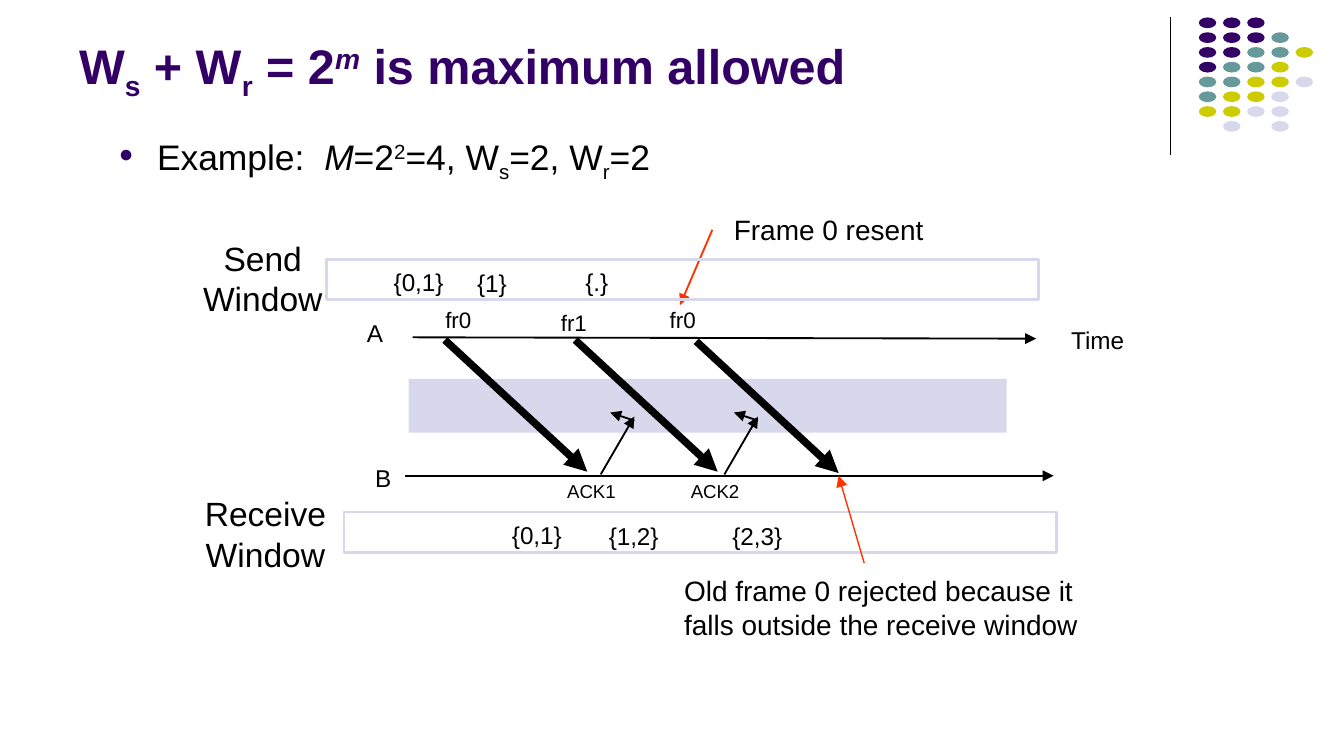
from lxml.etree import SubElement
from pptx import Presentation
from pptx.dml.color import RGBColor
from pptx.enum.shapes import MSO_CONNECTOR, MSO_SHAPE
from pptx.enum.text import MSO_ANCHOR, PP_ALIGN
from pptx.oxml.ns import qn
from pptx.util import Inches, Pt

INK = {"black": "000000", "purple": "330066", "teal": "669999",
       "lime": "CCCC00", "pale": "D8D8EC", "red": "FF3300"}
DOTS = ["PPP", "PPPT", "PPTTL", "PTTL", "TTLLV", "TLLV", "LLVV", " V V"]
HUES = {"P": "purple", "T": "teal", "L": "lime", "V": "pale"}

TITLE = [("W", ""), ("s", "sub"), (" + W", ""), ("r", "sub"), (" = 2", ""),
         ("m", "sup italic"), (" is maximum allowed", "")]
EXAMPLE = [("Example:  ", ""), ("M", "italic"), ("=2", ""), ("2", "sup"),
           ("=4, W", ""), ("s", "sub"), ("=2, W", ""), ("r", "sub"), ("=2", "")]

STYLES = {
    "node": (13, 0.09, 0.05, False, False),
    "frame": (12, 0.09, 0.05, True, False),
    "ack": (10, 0.06, 0.03, False, True),
    "note": (15, 0.07, 0.04, False, False),
    "remark": (15, 0.07, 0.04, False, True),
    "set": (13, 0.1, 0.05, True, False),
    "window": (18, 0.1, 0.05, True, True),
}
LABELS = [
    ("node", " A", 2.6, 2.32, 0.35, 0.31),
    ("node", " B", 2.65, 3.4, 0.35, 0.31),
    ("node", "Time", 7.88, 2.37, 0.58, 0.31),
    ("frame", "fr0", 3.22, 2.23, 0.38, 0.29),
    ("frame", "fr1", 4.08, 2.25, 0.38, 0.29),
    ("frame", "fr0", 4.89, 2.23, 0.38, 0.29),
    ("ack", "ACK1", 4.16, 3.54, 0.52, 0.23),
    ("ack", "ACK2", 5.08, 3.54, 0.52, 0.23),
    ("note", "Frame 0 resent", 5.39, 1.54, 1.56, 0.32),
    ("set", "{0,1}", 2.83, 1.94, 0.57, 0.32),
    ("set", "{1}", 3.45, 1.95, 0.42, 0.32),
    ("set", "{.}", 4.25, 1.94, 0.38, 0.32),
    ("window", "Send Window", 1.4, 1.72, 1.11, 0.7),
    ("set", "{0,1}", 3.71, 3.82, 0.57, 0.32),
    ("set", "{1,2}", 4.43, 3.83, 0.57, 0.32),
    ("set", "{2,3}", 5.35, 3.83, 0.57, 0.32),
    ("window", "Receive Window", 1.4, 3.62, 1.15, 0.7),
    ("remark", "Old frame 0 rejected because it falls outside the receive window",
     5.02, 4.23, 3.18, 0.57),
]
WINDOWS = [(2.43, 1.93), (2.56, 3.81)]
SENDS = [(3.31, 2.53), (4.28, 2.53), (5.18, 2.54)]
ACKS = [4.47, 5.39]

deck = Presentation()
deck.slide_width = Inches(10)
deck.slide_height = deck.slide_width * 9 // 16
slide = deck.slides.add_slide(deck.slide_layouts[6])


def color(name):
    return RGBColor.from_string(INK[name])


def add_line(x1, y1, x2, y2, width=1, ink="black", arrow=True):
    line = slide.shapes.add_connector(
        MSO_CONNECTOR.STRAIGHT, Inches(x1), Inches(y1), Inches(x2), Inches(y2))
    line.line.color.rgb = color(ink)
    line.line.width = Pt(width)
    if arrow:
        SubElement(line.line._get_or_add_ln(), qn("a:tailEnd"), type="triangle")
    SubElement(line._element.spPr, qn("a:effectLst"))


def add_form(kind, x, y, w, h, fill=None, edge=None):
    form = slide.shapes.add_shape(kind, Inches(x), Inches(y), Inches(w), Inches(h))
    form.shadow.inherit = False
    if fill:
        form.fill.solid()
        form.fill.fore_color.rgb = color(fill)
    else:
        form.fill.background()
    if edge:
        form.line.color.rgb = color(edge)
        form.line.width = Pt(1.5)
    else:
        form.line.fill.background()


def add_text(runs, x, y, w, h, size, dx=0.1, dy=0.05, wrap=True, ink="black"):
    box = slide.shapes.add_textbox(Inches(x), Inches(y), Inches(w), Inches(h))
    frame = box.text_frame
    frame.word_wrap = wrap
    frame.margin_left = frame.margin_right = Inches(dx)
    frame.margin_top = frame.margin_bottom = Inches(dy)
    para = frame.paragraphs[0]
    para.font.name, para.font.size = "Arial", Pt(size)
    para.font.color.rgb = color(ink)
    for words, look in runs:
        run = para.add_run()
        run.text = words
        if "italic" in look:
            run.font.italic = True
        if "su" in look:
            shift = "-25000" if "sub" in look else "30000"
            run.font._element.set("baseline", shift)
    return frame, para


add_line(8.71, 0.13, 8.71, 1.15, 0.75, arrow=False)
for row, marks in enumerate(DOTS):
    for col, mark in enumerate(marks):
        if mark in HUES:
            add_form(MSO_SHAPE.OVAL, 8.92 + col * 0.18, 0.13 + row * 0.11,
                     0.13, 0.08, HUES[mark])

frame, para = add_text(TITLE, 0.49, 0.2, 8.25, 0.61, 26, ink="purple")
frame.vertical_anchor = MSO_ANCHOR.BOTTOM
para.font.bold = True

frame, para = add_text(EXAMPLE, 0.79, 0.96, 6.75, 0.44, 19)
para.line_spacing, para.space_before = 0.9, Pt(4.8)
props = para._p.get_or_add_pPr()
props.set("marL", str(Inches(0.28)))
props.set("indent", str(-Inches(0.28)))
tags = ("buClr", "buSzPct", "buFont", "buChar")
tint, scale, face, mark = [SubElement(props, qn("a:" + tag)) for tag in tags]
SubElement(tint, qn("a:srgbClr"), val=INK["purple"])
scale.set("val", "110000")
face.set("typeface", "Arial")
mark.set("char", "•")
props.append(props.find(qn("a:defRPr")))

add_form(MSO_SHAPE.RECTANGLE, 3.04, 2.82, 4.45, 0.4, "pale")
add_line(3.07, 2.51, 7.71, 2.52)
add_line(3.01, 3.54, 7.84, 3.54)
for x, y in SENDS:
    add_line(x, y, x + 1.06, y + 0.98, 4)
for x in ACKS:
    add_line(x, 3.53, x + 0.25, 3.1)
    add_line(x + 0.25, 3.13, x + 0.07, 3.07)
add_line(5.3, 1.71, 5.06, 2.27, 1, "red")
for x, y in WINDOWS:
    add_form(MSO_SHAPE.RECTANGLE, x, y, 5.3, 0.3, edge="pale")
add_line(6.43, 4.19, 6.24, 3.54, 0.75, "red")

for style, words, x, y, w, h in LABELS:
    size, dx, dy, center, wrap = STYLES[style]
    frame, para = add_text([(words, "")], x, y, w, h, size, dx, dy, wrap)
    para.alignment = PP_ALIGN.CENTER if center else PP_ALIGN.LEFT

deck.save("out.pptx")
